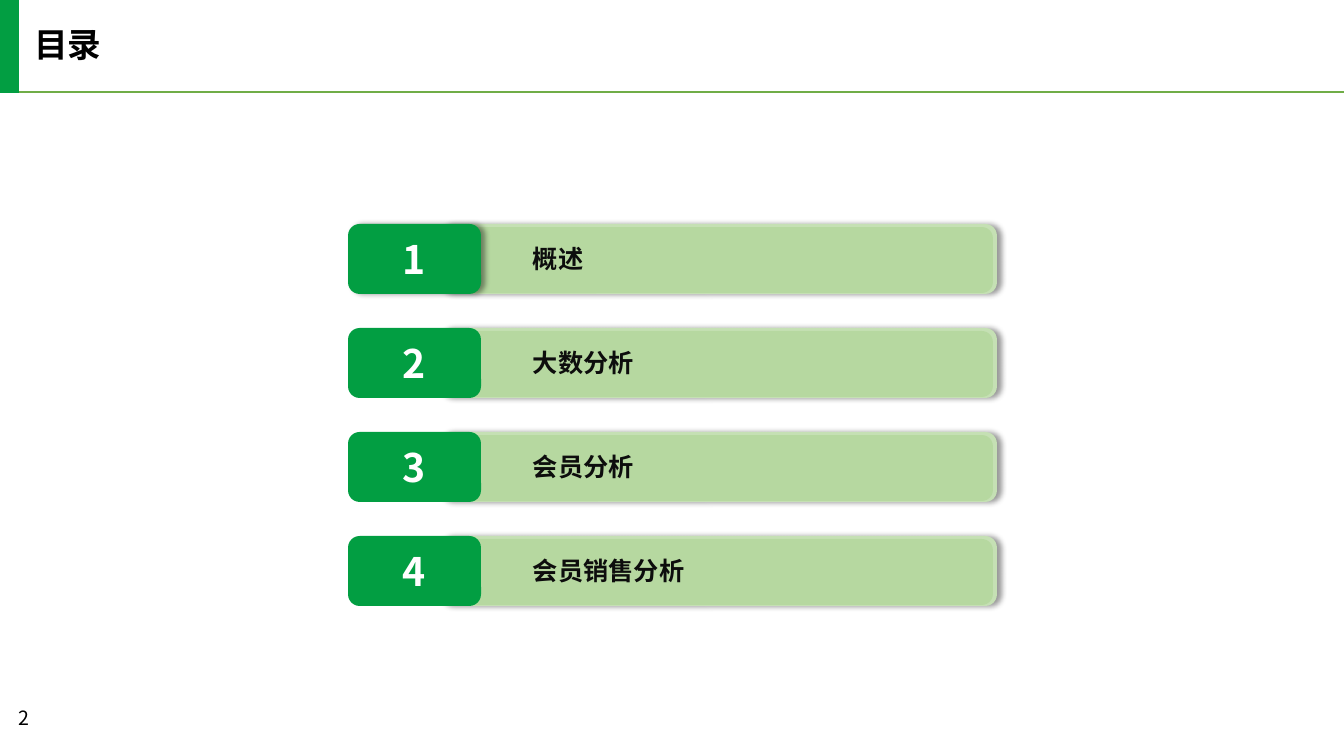
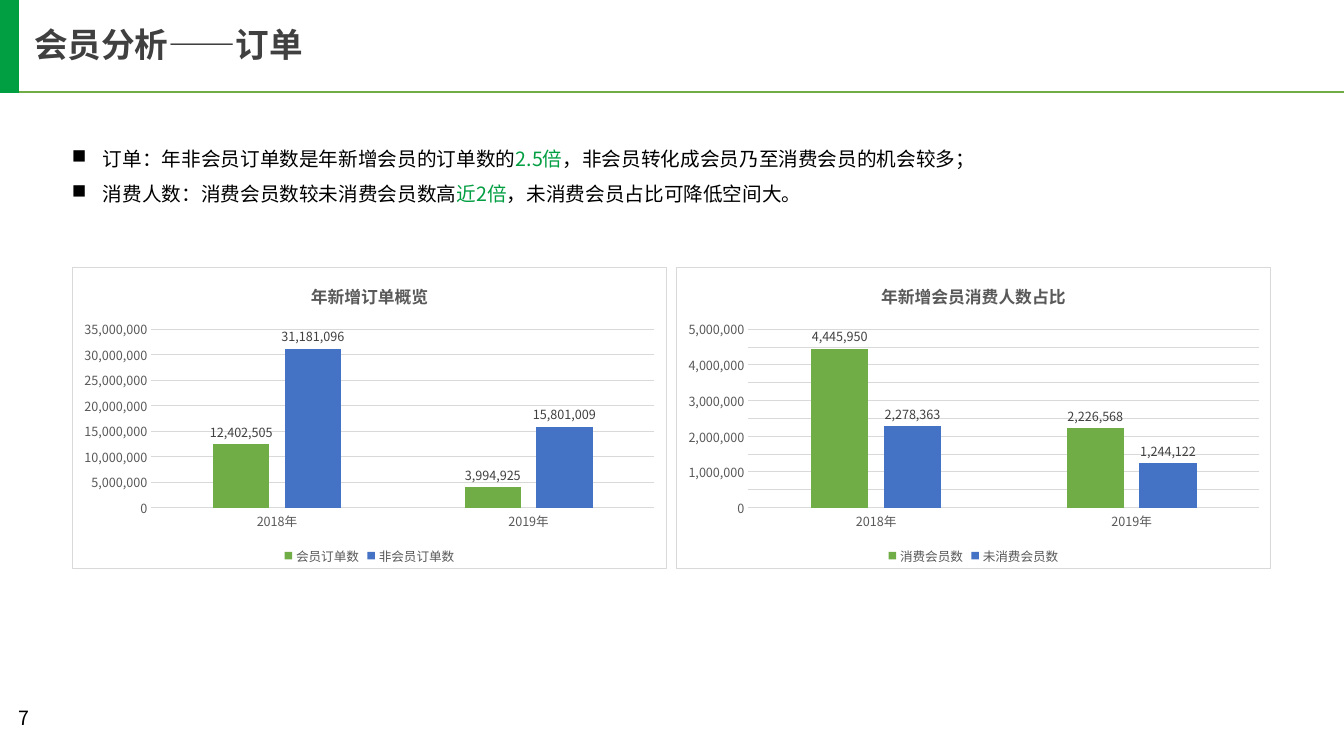
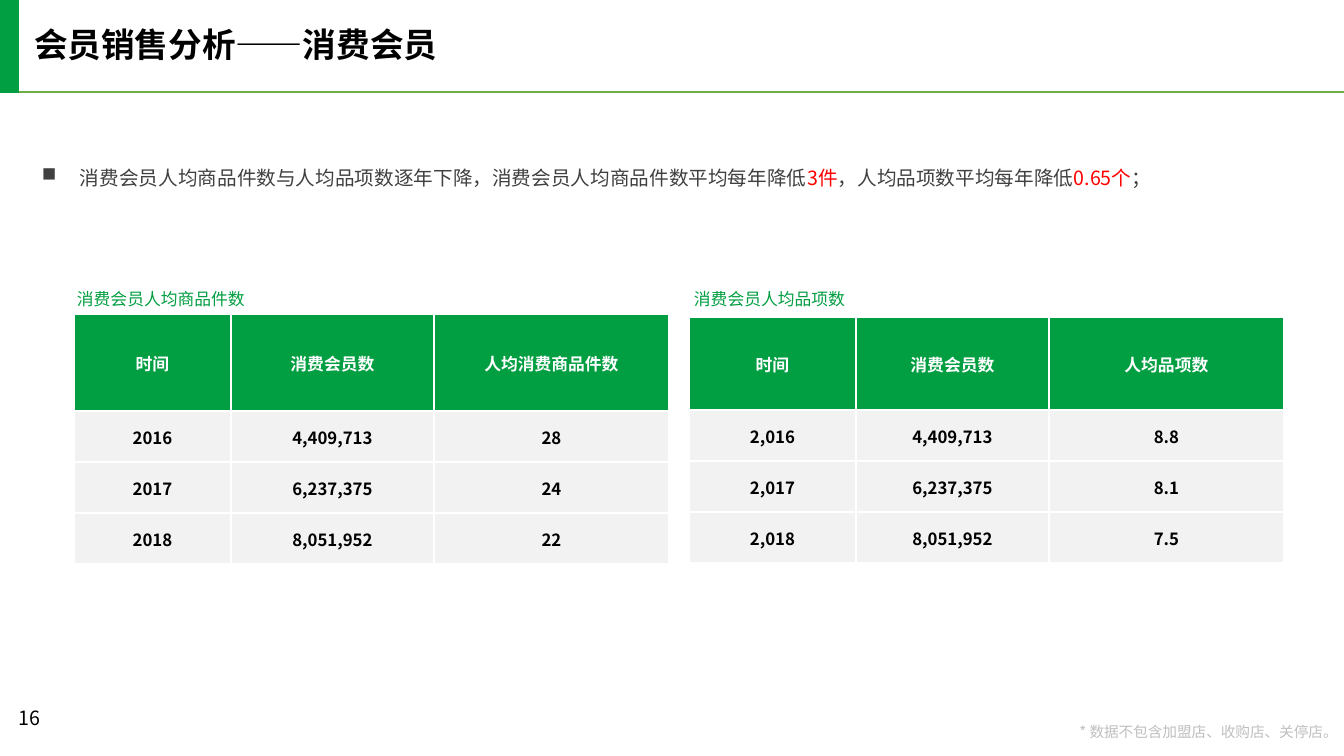
import pptx
import pptx.chart.data
import pptx.dml.color
import pptx.enum.chart
import pptx.enum.shapes
import pptx.enum.text
import pptx.oxml
import pptx.oxml.ns
import pptx.util
from lxml import etree

PX = 9071  # EMU in one pixel
FONT = "Noto Sans CJK SC"
RGB = pptx.dml.color.RGBColor
GREEN = RGB(0x02, 0x9E, 0x42)
RULE_GREEN = RGB(0x70, 0xAD, 0x47)
PALE_GREEN = RGB(0xC5, 0xE0, 0xB4)
MID_GREEN = RGB(0xA9, 0xD1, 0x8E)
BLUE = RGB(0x44, 0x72, 0xC4)
RED = RGB(0xFF, 0x00, 0x00)
BLACK = RGB(0x00, 0x00, 0x00)
INK = RGB(0x0D, 0x0D, 0x0D)
DARK_GREY = RGB(0x40, 0x40, 0x40)
AXIS_GREY = RGB(0x59, 0x59, 0x59)
NOTE_GREY = RGB(0xBF, 0xBF, 0xBF)
GRID_GREY = RGB(0xD9, 0xD9, 0xD9)
CELL_GREY = RGB(0xF2, 0xF2, 0xF2)
WHITE = RGB(0xFF, 0xFF, 0xFF)

Pt = pptx.util.Pt
qn = pptx.oxml.ns.qn
SHAPE = pptx.enum.shapes.MSO_SHAPE
ALIGN = pptx.enum.text.PP_ALIGN
ANCHOR = pptx.enum.text.MSO_ANCHOR
CHART = pptx.enum.chart
NO_INSETS = (0, 0, 0, 0)
SIDES = ("left", "top", "right", "bottom")


def style_font(font, size, color, bold=False):
    """Set size, colour, weight and the Latin and East Asian typeface."""
    for key, value in {"name": FONT, "size": Pt(size), "bold": bold}.items():
        setattr(font, key, value)
    font.color.rgb = color
    east_asian = etree.Element(qn("a:ea"), typeface=FONT)
    font._rPr.find(qn("a:latin")).addnext(east_asian)


def add_text(slide, box, paragraphs, size, bold=False, insets=NO_INSETS, wrap=True,
             anchor=ANCHOR.TOP, align=ALIGN.LEFT, spacing=None, bullet_indent=0):
    """Add a text box; each paragraph is a list of (text, colour) runs."""
    frame = slide.shapes.add_textbox(*(v * PX for v in box)).text_frame
    frame.word_wrap = wrap
    frame.vertical_anchor = anchor
    for side, inset in zip(SIDES, insets):
        setattr(frame, "margin_" + side, inset * PX)
    for index, runs in enumerate(paragraphs):
        paragraph = frame.add_paragraph() if index else frame.paragraphs[0]
        paragraph.alignment = align
        paragraph.line_spacing = spacing
        if bullet_indent:
            properties = paragraph._p.get_or_add_pPr()
            properties.set("marL", str(bullet_indent * PX))
            properties.set("indent", str(-bullet_indent * PX))
            etree.SubElement(properties, qn("a:buFont"), typeface="Wingdings", charset="2")
            etree.SubElement(properties, qn("a:buChar"), char="n")
        for text, color in runs:
            run = paragraph.add_run()
            run.text = text
            style_font(run.font, size, color, bold)


deck = pptx.Presentation()
deck.slide_width, deck.slide_height = 1344 * PX, 756 * PX

# Shared header and page number
slides = []
for title, title_color, page in (
    ("目录", BLACK, "2"),
    ("会员分析——订单", DARK_GREY, "7"),
    ("会员销售分析——消费会员", BLACK, "16"),
):
    slide = deck.slides.add_slide(deck.slide_layouts[6])
    rule = slide.shapes.add_connector(
        pptx.enum.shapes.MSO_CONNECTOR.STRAIGHT, 0, 92 * PX, 1344 * PX, 92 * PX)
    rule.line.color.rgb = RULE_GREEN
    rule.line.width = Pt(1.5)
    etree.SubElement(rule._element.spPr, qn("a:effectLst"))
    band = slide.shapes.add_shape(SHAPE.RECTANGLE, 0, -1 * PX, 19 * PX, 94 * PX)
    band.shadow.inherit = False
    band.fill.solid()
    band.fill.fore_color.rgb = GREEN
    band.line.fill.background()
    add_text(slide, (34, 28, 634, 36), [[(title, title_color)]], 24, bold=True, spacing=0.9)
    add_text(slide, (9, 701, 92, 40), [[(page, BLACK)]], 14, insets=(10, 5, 10, 5))
    slides.append(slide)
contents, orders, buyers = slides

# Contents: one bar, badge and label per chapter
for index, chapter in enumerate(("概述", "大数分析", "会员分析", "会员销售分析")):
    top = 224 + 104 * index
    for box, color, alpha, shadowed in (
        ((438, top, 559, 70), PALE_GREEN, 100, True),
        ((433, top + 3, 560, 66), MID_GREEN, 50, False),
        ((348, top, 133, 70), GREEN, 100, index == 0),
    ):
        panel = contents.shapes.add_shape(SHAPE.ROUNDED_RECTANGLE, *(v * PX for v in box))
        panel.shadow.inherit = False
        panel.fill.solid()
        panel.fill.fore_color.rgb = color
        panel.line.fill.background()
        properties = panel._element.spPr
        if alpha < 100:
            fill_color = properties.find(qn("a:solidFill")).find(qn("a:srgbClr"))
            etree.SubElement(fill_color, qn("a:alpha"), val=str(alpha * 1000))
        if shadowed:
            shadow = etree.SubElement(
                properties.find(qn("a:effectLst")), qn("a:outerShdw"),
                blurRad=str(Pt(4)), dist=str(Pt(3)), dir="0", algn="l", rotWithShape="0")
            shadow_color = etree.SubElement(shadow, qn("a:srgbClr"), val="000000")
            etree.SubElement(shadow_color, qn("a:alpha"), val="40000")
    badge = panel.text_frame
    badge.vertical_anchor = ANCHOR.MIDDLE
    badge.paragraphs[0].alignment = ALIGN.CENTER
    number = badge.paragraphs[0].add_run()
    number.text = str(index + 1)
    style_font(number.font, 28, WHITE, bold=True)
    add_text(contents, (533, top + 18, 275, 36), [[(chapter, INK)]], 18, bold=True,
             anchor=ANCHOR.MIDDLE, spacing=0.9)

# Orders: findings and two column charts
add_text(orders, (72, 135, 1134, 75), [
    [("订单：年非会员订单数是年新增会员的订单数的", BLACK), ("2.5倍", GREEN),
     ("，非会员转化成会员乃至消费会员的机会较多；", BLACK)],
    [("消费人数：消费会员数较未消费会员数高", BLACK), ("近2倍", GREEN),
     ("，未消费会员占比可降低空间大。", BLACK)],
], 14, spacing=1.5, bullet_indent=31)

CHART_TOP, CHART_WIDTH, CHART_HEIGHT = 267, 595, 302
PLOT_TOP, PLOT_HEIGHT = 62, 179
for left, heading, top_value, step, plot_left, plot_width, series_values in (
    (72, "年新增订单概览", 35000000, 5000000, 79, 504,
     {"会员订单数": (12402505, 3994925), "非会员订单数": (31181096, 15801009)}),
    (676, "年新增会员消费人数占比", 5000000, 500000, 72, 512,
     {"消费会员数": (4445950, 2226568), "未消费会员数": (2278363, 1244122)}),
):
    data = pptx.chart.data.CategoryChartData(number_format="#,##0")
    data.categories = ("2018年", "2019年")
    for name, values in series_values.items():
        data.add_series(name, values)
    chart = orders.shapes.add_chart(
        CHART.XL_CHART_TYPE.COLUMN_CLUSTERED, left * PX, CHART_TOP * PX,
        CHART_WIDTH * PX, CHART_HEIGHT * PX, data).chart
    style_font(chart.font, 10, BLACK)
    chart.has_title = True
    chart.chart_title.include_in_layout = False
    heading_run = chart.chart_title.text_frame.paragraphs[0].add_run()
    heading_run.text = heading
    style_font(heading_run.font, 12, AXIS_GREY, bold=True)
    chart.has_legend = True
    chart.legend.position = CHART.XL_LEGEND_POSITION.BOTTOM
    chart.legend.include_in_layout = False
    for part in (chart.legend, chart.category_axis.tick_labels, chart.value_axis.tick_labels):
        style_font(part.font, 9, AXIS_GREY)

    chart.category_axis.major_tick_mark = CHART.XL_TICK_MARK.NONE
    value_axis = chart.value_axis
    for key, value in {"minimum_scale": 0, "maximum_scale": top_value, "major_unit": step,
                       "major_tick_mark": CHART.XL_TICK_MARK.NONE}.items():
        setattr(value_axis, key, value)
    value_axis.tick_labels.number_format = "#,##0"
    value_axis.tick_labels.number_format_is_linked = False
    value_axis.format.line.fill.background()
    for line in (chart.category_axis.format.line, value_axis.major_gridlines.format.line):
        line.color.rgb = GRID_GREY
        line.width = Pt(0.75)

    plot = chart.plots[0]
    for key, value in {"gap_width": 219, "overlap": -27, "vary_by_categories": False}.items():
        setattr(plot, key, value)
    for series, color in zip(plot.series, (RULE_GREEN, BLUE)):
        series.format.fill.solid()
        series.format.fill.fore_color.rgb = color
        series.invert_if_negative = False
        labels = series.data_labels
        for key, value in {"show_value": True, "number_format": "#,##0",
                           "number_format_is_linked": False,
                           "position": CHART.XL_LABEL_POSITION.OUTSIDE_END}.items():
            setattr(labels, key, value)
        style_font(labels.font, 9, DARK_GREY)

    chart_root = chart._chartSpace.find(qn("c:chart"))
    plot_area = chart_root.find(qn("c:plotArea"))
    for old_layout in plot_area.findall(qn("c:layout")):
        plot_area.remove(old_layout)
    layout = etree.Element(qn("c:layout"))
    manual = etree.SubElement(layout, qn("c:manualLayout"))
    for tag, value in {
        "layoutTarget": "inner", "xMode": "edge", "yMode": "edge",
        "x": plot_left / CHART_WIDTH, "y": PLOT_TOP / CHART_HEIGHT,
        "w": plot_width / CHART_WIDTH, "h": PLOT_HEIGHT / CHART_HEIGHT,
    }.items():
        etree.SubElement(manual, qn("c:" + tag), val=str(value))
    plot_area.insert(0, layout)
    chart_root.addnext(pptx.oxml.parse_xml(
        f'<c:spPr {pptx.oxml.ns.nsdecls("c", "a")}>'
        f'<a:solidFill><a:srgbClr val="{WHITE}"/></a:solidFill>'
        f'<a:ln w="{Pt(0.75)}"><a:solidFill><a:srgbClr val="{GRID_GREY}"/></a:solidFill></a:ln>'
        '</c:spPr>'))

# Buyers: finding, two captioned tables and a footnote
add_text(buyers, (42, 154, 1260, 35), [[
    ("消费会员人均商品件数与人均品项数逐年下降，消费会员人均商品件数平均每年降低", DARK_GREY),
    ("3件", RED), ("，人均品项数平均每年降低", DARK_GREY), ("0.65个", RED), ("；", DARK_GREY),
]], 14, anchor=ANCHOR.MIDDLE, spacing=1.5, bullet_indent=38)

for left, top, header_height, widths, caption_left, caption, rows in (
    (74, 314, 97, (157, 203, 235), 77, "消费会员人均商品件数",
     (("时间", "消费会员数", "人均消费商品件数"), ("2016", "4,409,713", "28"),
      ("2017", "6,237,375", "24"), ("2018", "8,051,952", "22"))),
    (689, 317, 93, (167, 193, 235), 694, "消费会员人均品项数",
     (("时间", "消费会员数", "人均品项数"), ("2,016", "4,409,713", "8.8"),
      ("2,017", "6,237,375", "8.1"), ("2,018", "8,051,952", "7.5"))),
):
    heights = (header_height, 51, 51, 51)
    table = buyers.shapes.add_table(
        len(rows), len(widths), left * PX, top * PX, sum(widths) * PX, sum(heights) * PX).table
    for column, width in zip(table.columns, widths):
        column.width = width * PX
    for r, (values, height) in enumerate(zip(rows, heights)):
        table.rows[r].height = height * PX
        for c, value in enumerate(values):
            cell = table.cell(r, c)
            cell.vertical_anchor = ANCHOR.MIDDLE
            for side, inset in zip(SIDES, (1, 1, 1, 0)):
                setattr(cell, "margin_" + side, inset * PX)
            paragraph = cell.text_frame.paragraphs[0]
            paragraph.alignment = ALIGN.CENTER
            run = paragraph.add_run()
            run.text = value
            style_font(run.font, 12, BLACK if r else WHITE, bold=True)
            properties = cell._tc.get_or_add_tcPr()
            for edge in ("lnL", "lnR", "lnT", "lnB"):
                border = etree.SubElement(properties, qn("a:" + edge), w=str(Pt(1)))
                border_fill = etree.SubElement(border, qn("a:solidFill"))
                etree.SubElement(border_fill, qn("a:srgbClr"), val=str(WHITE))
            cell.fill.solid()
            cell.fill.fore_color.rgb = CELL_GREY if r else GREEN
    add_text(buyers, (caption_left, 289, 180, 24), [[(caption, GREEN)]], 12,
             insets=(0, 0, 0, 4))

add_text(buyers, (1075, 725, 263, 16), [[("* 数据不包含加盟店、收购店、关停店。", NOTE_GREY)]],
         10.5, wrap=False, align=ALIGN.RIGHT, spacing=0.9)

deck.save("out.pptx")
